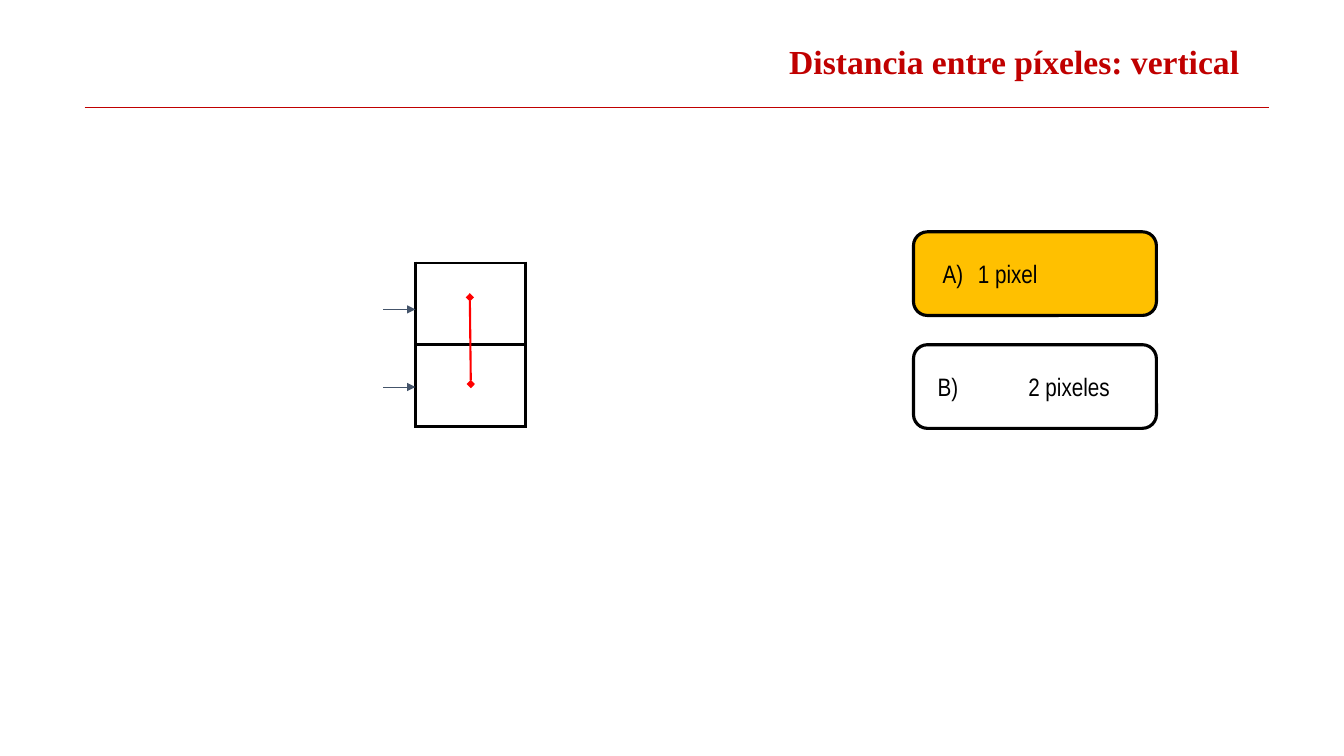
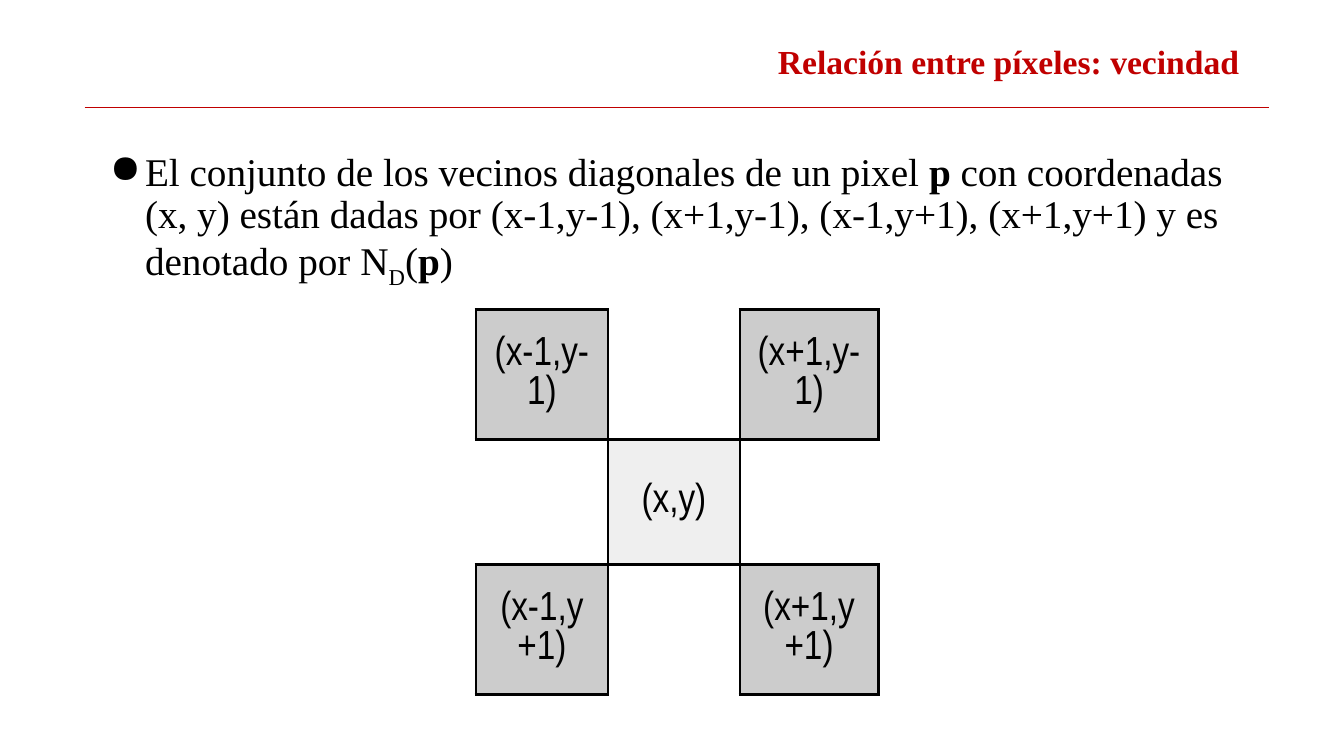
import pptx
import pptx.util
from pptx.dml.color import RGBColor
from pptx.enum.shapes import MSO_CONNECTOR, MSO_SHAPE
from pptx.enum.text import MSO_ANCHOR, PP_ALIGN
from pptx.oxml.ns import qn
from pptx.util import Inches
from lxml import etree

BLACK = RGBColor(0x00, 0x00, 0x00)
WHITE = RGBColor(0xFF, 0xFF, 0xFF)
CRIMSON = RGBColor(0xC0, 0x00, 0x00)
RED = RGBColor(0xFF, 0x00, 0x00)
AMBER = RGBColor(0xFF, 0xC0, 0x00)
SLATE = RGBColor(0x44, 0x54, 0x6A)
GRAY = RGBColor(0xCC, 0xCC, 0xCC)
PALE = RGBColor(0xEF, 0xEF, 0xEF)
SERIF = "Times New Roman"
NARROW = "Arial Narrow"
PLAIN_TABLE = "{2D5ABB26-0587-4C30-8999-92F81FD0307C}"


def add_line(page, start, end, color, width, **ends):
    """Draw a straight line; ends maps headEnd and tailEnd to arrowhead types."""
    points = [Inches(value) for value in start + end]
    line = page.shapes.add_connector(MSO_CONNECTOR.STRAIGHT, *points)
    line.line.color.rgb = color
    line.line.width = pptx.util.Pt(width)
    properties = line._element.spPr
    for tag, kind in ends.items():
        etree.SubElement(properties.find(qn("a:ln")), qn("a:" + tag), type=kind)
    etree.SubElement(properties, qn("a:effectLst"))


def add_span(para, text, font, size, color=BLACK, bold=False):
    span = para.add_run()
    span.text = text
    span.font.name = font
    span.font.size = pptx.util.Pt(size)
    span.font.color.rgb = color
    span.font.bold = bold
    return span


deck = pptx.Presentation()
deck.slide_width = Inches(13.33)
deck.slide_height = Inches(7.5)

# Shared header
pages = []
for title in ["Distancia entre píxeles: vertical", "Relación entre píxeles: vecindad"]:
    page = deck.slides.add_slide(deck.slide_layouts[6])
    add_line(page, (0.84, 1.07), (12.59, 1.07), CRIMSON, 0.5)
    box = page.shapes.add_textbox(Inches(6.57), Inches(0.36), Inches(5.82), Inches(0.5))
    box.text_frame.word_wrap = True
    para = box.text_frame.paragraphs[0]
    para.alignment = PP_ALIGN.RIGHT
    add_span(para, title, SERIF, 24, CRIMSON, True)
    pages.append(page)
distance_page, neighbour_page = pages

# Answer options: text, fill, text indent, first-line indent, numbered
options = [
    ("1 pixel", AMBER, 0.5, -0.35, True),
    ("B)\t2 pixeles", WHITE, 1.0, -0.9, False),
]
for index, (text, fill, margin, indent, numbered) in enumerate(options):
    option = distance_page.shapes.add_shape(
        MSO_SHAPE.ROUNDED_RECTANGLE,
        Inches(9.06), Inches(2.3 + 1.12 * index), Inches(2.41), Inches(0.83))
    option.shadow.inherit = False
    option.fill.solid()
    option.fill.fore_color.rgb = fill
    option.line.color.rgb = BLACK
    option.line.width = pptx.util.Pt(2.25)
    frame = option.text_frame
    frame.word_wrap = True
    frame.vertical_anchor = MSO_ANCHOR.MIDDLE
    frame.margin_left = frame.margin_right = Inches(0.1)
    frame.margin_top = frame.margin_bottom = Inches(0.1)
    para = frame.paragraphs[0]
    para.alignment = PP_ALIGN.LEFT
    properties = para._p.get_or_add_pPr()
    properties.set("marL", str(Inches(margin)))
    properties.set("indent", str(Inches(indent)))
    if numbered:
        etree.SubElement(properties, qn("a:buAutoNum"), type="alphaUcParenR")
    add_span(para, text, NARROW, 18)

# Definition of the diagonal neighbours
box = neighbour_page.shapes.add_textbox(Inches(0.84), Inches(1.41), Inches(11.55), Inches(1.66))
frame = box.text_frame
frame.word_wrap = True
frame.margin_left = frame.margin_right = Inches(0.1)
frame.margin_top = frame.margin_bottom = Inches(0.1)
para = frame.paragraphs[0]
para.line_spacing = 0.9
properties = para._p.get_or_add_pPr()
properties.set("marL", str(Inches(0.5)))
properties.set("indent", str(Inches(-0.35)))
bullet_color = etree.SubElement(properties, qn("a:buClr"))
etree.SubElement(bullet_color, qn("a:srgbClr"), val=str(BLACK))
etree.SubElement(properties, qn("a:buChar"), char="●")
add_span(para, "El conjunto de los vecinos diagonales de un pixel ", SERIF, 28)
add_span(para, "p", SERIF, 28, bold=True)
add_span(para, " con coordenadas (x, y) están dadas por (x-1,y-1), (x+1,y-1), "
               "(x-1,y+1), (x+1,y+1) y es denotado por N", SERIF, 28)
subscript = add_span(para, "D", SERIF, 28)
subscript.font._element.set("baseline", "-25000")
add_span(para, "(", SERIF, 28)
add_span(para, "p", SERIF, 28, bold=True)
add_span(para, ")", SERIF, 28)

# Pixel grids: page, left, top, column widths, row heights, labels, framed
neighbours = [
    ["(x-1,y-1)", "", "(x+1,y-1)"],
    ["", "(x,y)", ""],
    ["(x-1,y+1)", "", "(x+1,y+1)"],
]
grids = [
    (distance_page, 4.12, 2.61, [1.09], [0.81, 0.81], [[""], [""]], True),
    (neighbour_page, 4.72, 3.07, [1.31, 1.31, 1.37], [1.29, 1.24, 1.29], neighbours, False),
]
for page, left, top, widths, heights, labels, framed in grids:
    table = page.shapes.add_table(
        len(heights), len(widths), Inches(left), Inches(top),
        Inches(sum(widths)), Inches(sum(heights))).table
    table.first_row = table.horz_banding = False
    table._tbl.tblPr.find(qn("a:tableStyleId")).text = PLAIN_TABLE
    for column, width in zip(table.columns, widths):
        column.width = Inches(width)
    for row, height in zip(table.rows, heights):
        row.height = Inches(height)
    last_row, last_column = len(heights) - 1, len(widths) - 1
    for r, row_labels in enumerate(labels):
        for c, label in enumerate(row_labels):
            cell = table.cell(r, c)
            # An empty cell has no border on the outside of an unframed grid
            inner = {"L": c > 0, "R": c < last_column, "T": r > 0, "B": r < last_row}
            for side, inside in inner.items():
                border = etree.SubElement(
                    cell._tc.get_or_add_tcPr(), qn("a:ln" + side), w=str(pptx.util.Pt(2.25)))
                if framed or label or inside:
                    paint = etree.SubElement(border, qn("a:solidFill"))
                    etree.SubElement(paint, qn("a:srgbClr"), val=str(BLACK))
                else:
                    etree.SubElement(border, qn("a:noFill"))
            if not label:
                cell.fill.background()
                continue
            cell.fill.solid()
            cell.fill.fore_color.rgb = PALE if label == "(x,y)" else GRAY
            cell.vertical_anchor = MSO_ANCHOR.MIDDLE
            cell.margin_left = cell.margin_right = Inches(0.16)
            cell.margin_top = cell.margin_bottom = Inches(0.16)
            para = cell.text_frame.paragraphs[0]
            para.alignment = PP_ALIGN.CENTER
            add_span(para, label, NARROW, 29)

# Arrows to the two pixels and the distance between their centres
for y in [3.07, 3.84]:
    add_line(distance_page, (3.8, y), (4.12, y), SLATE, 0.75, tailEnd="triangle")
add_line(distance_page, (4.66, 2.95), (4.67, 3.81), RED, 1.5,
         headEnd="diamond", tailEnd="diamond")

deck.save("out.pptx")
